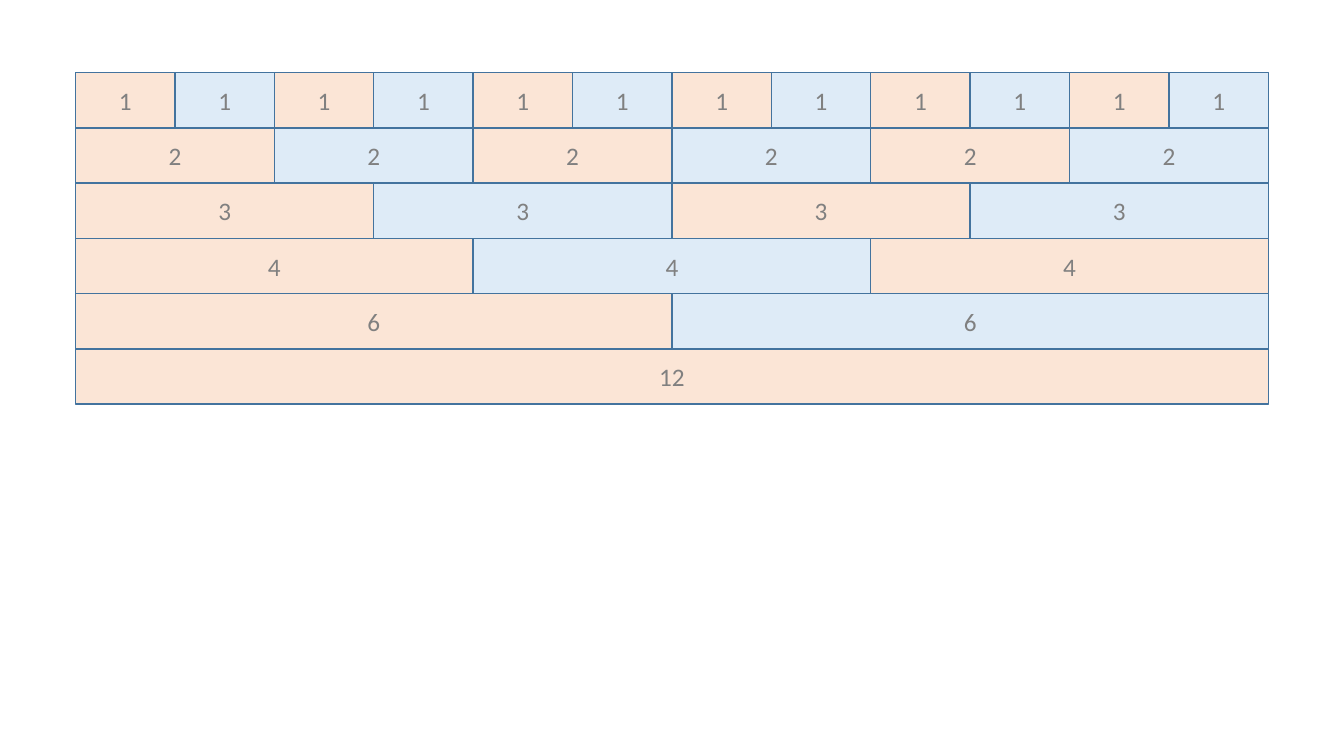
import pptx
import pptx.dml.color
import pptx.enum.shapes
import pptx.enum.text
import pptx.util

# Content: each row of the wall is filled with bricks of one length
UNITS = 12
BRICK_LENGTHS = [1, 2, 3, 4, 6, 12]

# Layout in px, 100 px to the inch
PX = 9144
SLIDE = {"slide_width": 1333, "slide_height": 750}
WALL = {"left": 75, "top": 72, "width": 1183, "height": 329}

THEME = {
    "fills": ["FBE5D6", "DEEBF7"],
    "line": "43739E",
    "line_width": 1,
    "text": "808080",
    "font": "Calibri",
    "size": 18,
}


def emu(length):
    return pptx.util.Emu(round(length * PX))


def color(value):
    return pptx.dml.color.RGBColor.from_string(value)


def set_format(target, values):
    for name, value in values.items():
        setattr(target, name, value)


def add_brick(page, row, column, length):
    unit_width = WALL["width"] / UNITS
    row_height = WALL["height"] / len(BRICK_LENGTHS)
    box = page.shapes.add_shape(
        pptx.enum.shapes.MSO_SHAPE.RECTANGLE,
        emu(WALL["left"] + column * length * unit_width),
        emu(WALL["top"] + row * row_height),
        emu(length * unit_width),
        emu(row_height),
    )

    # Brick face and outline
    box.shadow.inherit = False
    box.fill.solid()
    box.fill.fore_color.rgb = color(THEME["fills"][column % 2])
    box.line.color.rgb = color(THEME["line"])
    box.line.width = pptx.util.Pt(THEME["line_width"])

    # Length label
    box.text_frame.vertical_anchor = pptx.enum.text.MSO_ANCHOR.MIDDLE
    para = box.text_frame.paragraphs[0]
    para.alignment = pptx.enum.text.PP_ALIGN.CENTER
    span = para.add_run()
    span.text = str(length)
    set_format(span.font, {"name": THEME["font"], "size": pptx.util.Pt(THEME["size"])})
    span.font.color.rgb = color(THEME["text"])


def main():
    deck = pptx.Presentation()
    set_format(deck, {name: emu(length) for name, length in SLIDE.items()})
    page = deck.slides.add_slide(deck.slide_layouts[6])

    # Wall of bricks, top row first
    for row, length in enumerate(BRICK_LENGTHS):
        for column in range(UNITS // length):
            add_brick(page, row, column, length)

    deck.save("out.pptx")


if __name__ == "__main__":
    main()
